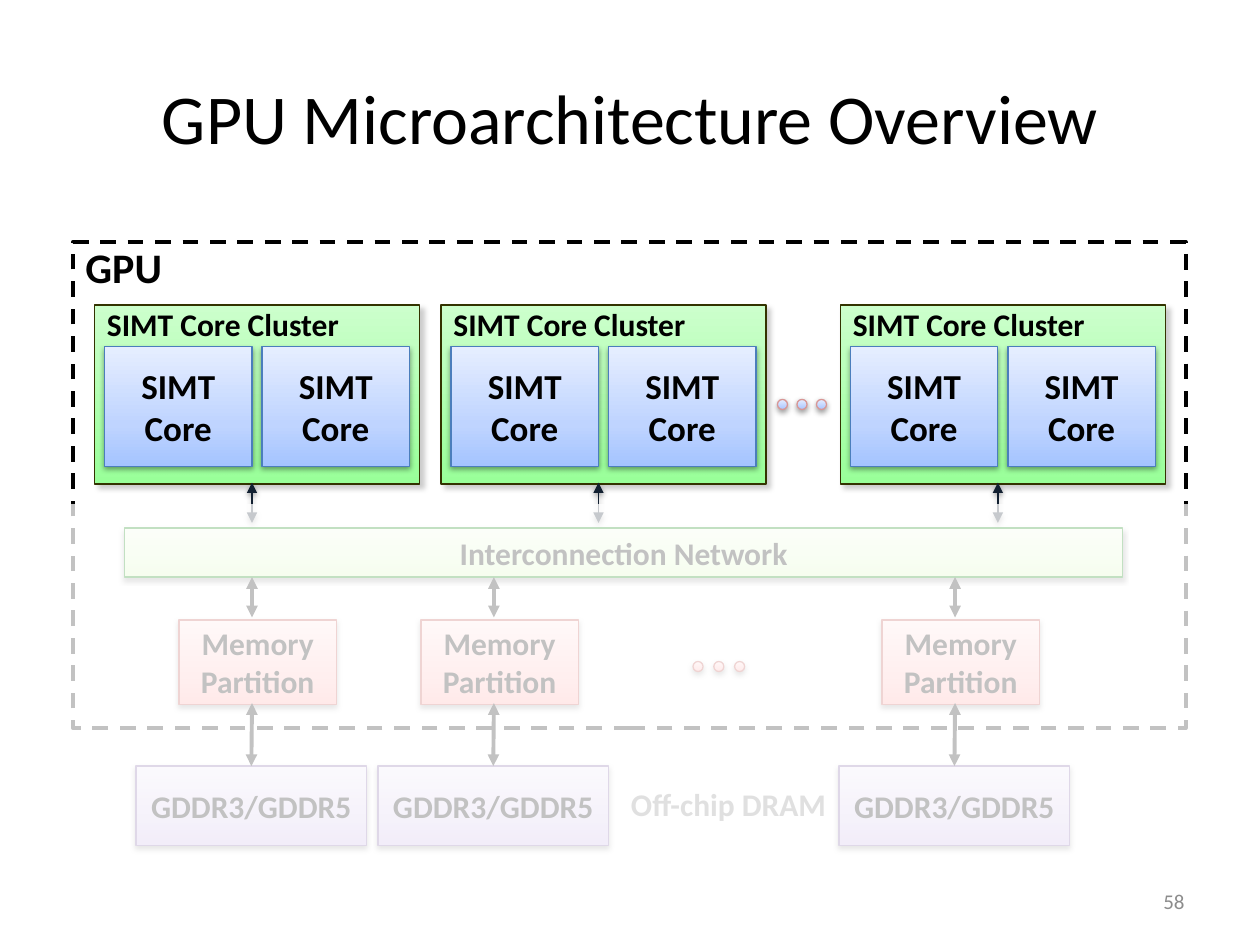
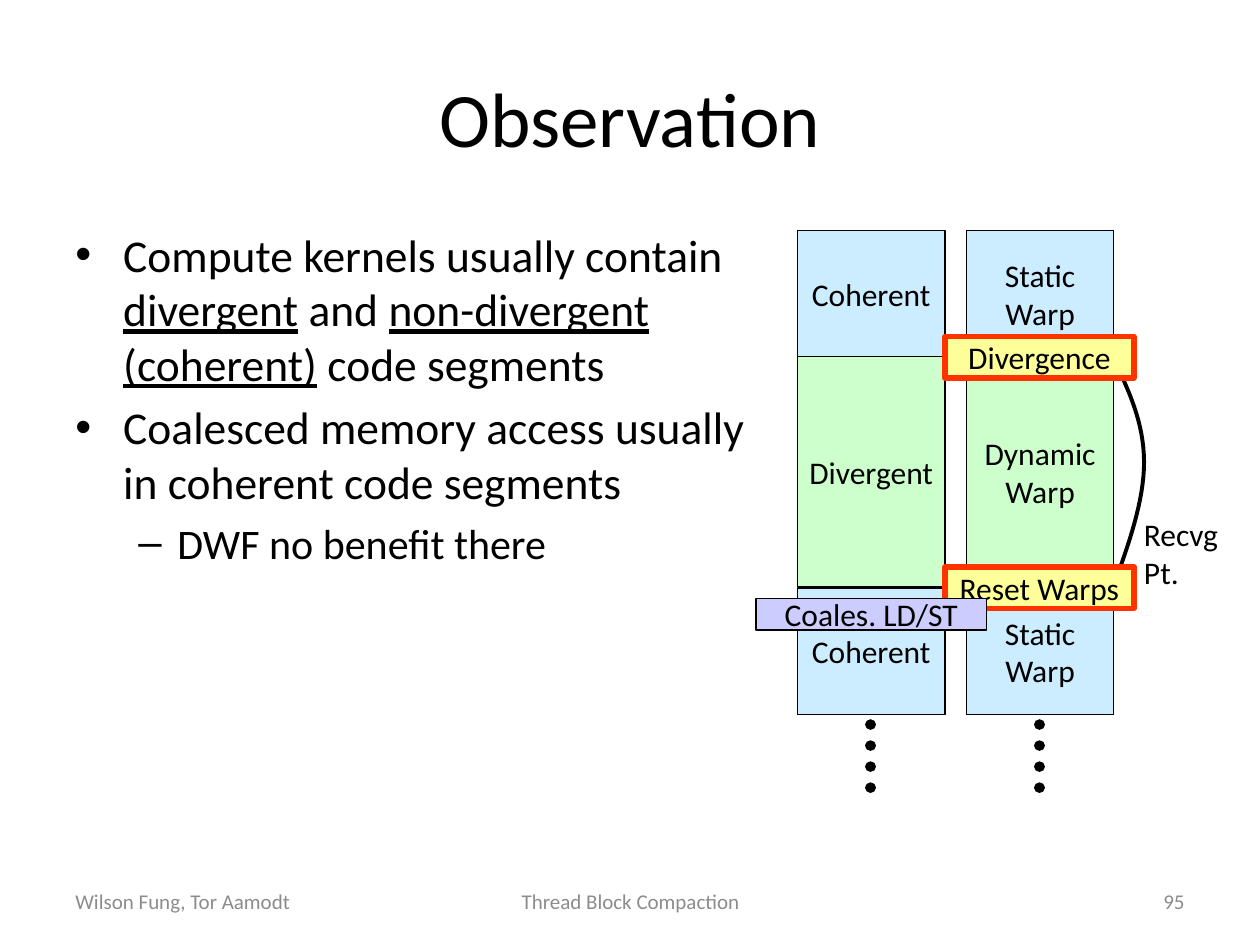
import copy
import pptx
import pptx.dml.color
import pptx.enum.dml
import pptx.enum.shapes
import pptx.enum.text
import pptx.oxml.ns
import pptx.util
from lxml import etree

Inches = pptx.util.Inches
Pt = pptx.util.Pt
RGB = pptx.dml.color.RGBColor
SHAPE = pptx.enum.shapes.MSO_SHAPE
DASH = pptx.enum.dml.MSO_LINE
ALIGN = pptx.enum.text.PP_ALIGN
ANCHOR = pptx.enum.text.MSO_ANCHOR
qn = pptx.oxml.ns.qn

BLACK = RGB(0x00, 0x00, 0x00)
WHITE = RGB(0xFF, 0xFF, 0xFF)
GREY = RGB(0x8C, 0x8C, 0x8C)
MID = RGB(0x80, 0x80, 0x80)
NAVY = RGB(0x12, 0x20, 0x31)
GREEN = RGB(0x00, 0x80, 0x00)
OLIVE = RGB(0x33, 0x33, 0x00)
BLUE = RGB(0x4B, 0x7E, 0xBC)
ROSE = RGB(0xD9, 0x96, 0x94)
RED = RGB(0xBF, 0x4C, 0x48)
PLUM = RGB(0x7D, 0x60, 0xA0)
SKY = RGB(0xCC, 0xEC, 0xFF)
MINT = RGB(0xCC, 0xFF, 0xCC)
LILAC = RGB(0xCC, 0xCC, 0xFF)
YELLOW = RGB(0xFF, 0xFF, 0x99)
FLAME = RGB(0xFF, 0x33, 0x00)

BLUES = [(0, RGB(0xA4, 0xC4, 0xFF)), (0.35, RGB(0xBF, 0xD4, 0xFF)), (1, RGB(0xE6, 0xEE, 0xFF))]
REDS = [(0, RGB(0xFF, 0xA6, 0xA5)), (0.35, RGB(0xFF, 0xC0, 0xBF)), (1, RGB(0xFF, 0xE7, 0xE7))]
PLUMS = [(0, RGB(0xC9, 0xB5, 0xE8)), (0.35, RGB(0xD8, 0xCB, 0xEE)), (1, RGB(0xF0, 0xEA, 0xF9))]
LIMES = [(0, RGB(0xDA, 0xFA, 0xBB)), (0.5, RGB(0xE7, 0xFB, 0xD4)), (1, RGB(0xF3, 0xFD, 0xE9))]
GREENS = [(0, RGB(0x99, 0xFF, 0x99)), (1, MINT)]

SOFT = {"alpha": 38, "blur": 3.15, "dist": 1.57, "dir": 90}
SLANT = {"alpha": 20, "blur": 3, "dist": 3, "dir": 45}
LABEL = {"size": Pt(18), "bold": True}
PLAIN = {"size": Pt(18)}
CORE = {"size": Pt(20), "bold": True}
HEAD = {"margin_top": 0, "vertical_anchor": ANCHOR.TOP}


def apply(target, values):
    for key, value in values.items():
        setattr(target, key, value)


def ink(font, look, color=BLACK):
    apply(font, {"name": "Calibri", **look})
    font.color.rgb = color


def write(shape, text, look, align=ALIGN.CENTER, frame=None, color=BLACK):
    body = shape.text_frame
    body.text = text
    apply(body, {"word_wrap": False, "vertical_anchor": ANCHOR.MIDDLE, **(frame or {})})
    for para in body.paragraphs:
        para.alignment = align
        for run in para.runs:
            ink(run.font, look, color)


def blend(shape, stops):
    shape.fill.gradient()
    shape.fill.gradient_angle = 90
    parts = shape.element.spPr.find(qn("a:gradFill")).find(qn("a:gsLst"))
    while len(parts) < len(stops):
        parts.append(copy.deepcopy(parts[0]))
    for stop, (place, color) in zip(shape.fill.gradient_stops, stops):
        stop.position = place
        stop.color.rgb = color


def shade(effects, cast):
    drop = etree.SubElement(effects, qn("a:outerShdw"), blurRad=str(Pt(cast["blur"])),
                            dist=str(Pt(cast["dist"])), dir=str(cast["dir"] * 60000), rotWithShape="0")
    tint = etree.SubElement(drop, qn("a:srgbClr"), val=str(BLACK))
    etree.SubElement(tint, qn("a:alpha"), val=str(cast["alpha"] * 1000))


def box(tree, place, fill=None, edge=None, width=0.75, cast=None, kind=SHAPE.RECTANGLE):
    shape = tree.add_shape(kind, *map(Inches, place))
    if fill is None:
        shape.fill.background()
    elif isinstance(fill, list):
        blend(shape, fill)
    else:
        shape.fill.solid()
        shape.fill.fore_color.rgb = fill
    if edge is None:
        shape.line.fill.background()
    else:
        shape.line.color.rgb = edge
        shape.line.width = Pt(width)
    shape.shadow.inherit = False
    if cast:
        shade(shape.element.spPr.find(qn("a:effectLst")), cast)
    return shape


def line(tree, x, top, end, color=BLACK, width=2.25, cast=None):
    rule = tree.add_connector(pptx.enum.shapes.MSO_CONNECTOR.STRAIGHT,
                              Inches(x), Inches(top), Inches(x), Inches(end))
    rule.line.color.rgb = color
    rule.line.width = Pt(width)
    effects = etree.SubElement(rule.element.spPr, qn("a:effectLst"))
    if cast:
        shade(effects, cast)
    return rule


def tip(rule, ends=("headEnd", "tailEnd"), kind="triangle"):
    stroke = rule.element.spPr.find(qn("a:ln"))
    for end in ends:
        etree.SubElement(stroke, qn("a:" + end), type=kind)


def arrow(tree, x, top, end, **look):
    rule = line(tree, x, top, end, **look)
    tip(rule)
    return rule


def trail(tree, x):
    rule = line(tree, x, 5.75, 6.33, width=6)
    rule.line.dash_style = DASH.ROUND_DOT
    rule.element.spPr.find(qn("a:ln")).set("cap", "rnd")


def note(tree, place, text, look, align=ALIGN.LEFT, frame=None, color=BLACK):
    area = tree.add_textbox(*map(Inches, place))
    write(area, text, look, align, frame, color)


def foot(tree, left, width, text, align):
    note(tree, (left, 6.95, width, 0.4), text, {"size": Pt(12)}, align, {"word_wrap": True}, GREY)


def start(deck, title, size, number):
    slide = deck.slides.add_slide(deck.slide_layouts[5])
    head = slide.shapes.title
    apply(head, dict(zip(("left", "top", "width", "height"), map(Inches, (0.5, 0.3, 9, 1.25)))))
    write(head, title, {"size": Pt(size)}, frame={"word_wrap": True})
    foot(slide.shapes, 7.17, 2.33, number, ALIGN.RIGHT)
    return slide.shapes


def dots(tree, left, top, step, fill, edge):
    group = tree.add_group_shape().shapes
    for i in range(3):
        box(group, (left + i * step, top, 0.08, 0.08), fill, edge, cast=SOFT, kind=SHAPE.OVAL)


def cluster(tree, left):
    group = tree.add_group_shape().shapes
    frame = box(group, (left, 2.42, 2.58, 1.42), GREENS, OLIVE, 1, SLANT)
    write(frame, "SIMT Core Cluster", LABEL, ALIGN.LEFT, HEAD)
    for i in range(2):
        core = box(group, (left + 0.08 + 1.25 * i, 2.75, 1.17, 0.95), BLUES, BLUE, cast=SOFT)
        write(core, "SIMT\nCore", CORE)
    arrow(group, left + 1.25, 3.83, 4.15, color=NAVY, width=0.75, cast=SOFT)


def bank(tree, mid):
    group = tree.add_group_shape().shapes
    part = box(group, (mid - 0.58, 4.92, 1.25, 0.67), REDS, RED, cast=SOFT)
    write(part, "Memory\nPartition", LABEL)
    dram = box(group, (mid - 0.92, 6.08, 1.83, 0.63), PLUMS, PLUM, cast=SOFT)
    write(dram, "GDDR3/GDDR5", LABEL)
    arrow(group, mid, 5.58, 6.06).end_connect(dram, 0)
    arrow(group, mid, 4.58, 4.9)


def veil(tree):
    sheet = box(tree, (0.5, 4, 9, 2.92), WHITE)
    tint = sheet.element.spPr.find(qn("a:solidFill"))[0]
    etree.SubElement(tint, qn("a:alpha"), val="76000")


def bullets(tree, place, items):
    body = tree.add_textbox(*map(Inches, place)).text_frame
    body.word_wrap = True
    for i, (level, size, mark, parts) in enumerate(items):
        para = body.add_paragraph() if i else body.paragraphs[0]
        para.level = level
        left, hang = ((0.38, 0.38), (0.81, 0.31))[level]
        props = para._p.get_or_add_pPr()
        props.set("marL", str(Inches(left)))
        props.set("indent", str(-Inches(hang)))
        etree.SubElement(props, qn("a:buFont"), typeface="Arial")
        etree.SubElement(props, qn("a:buChar"), char=mark)
        para.space_before = Pt(size * 0.2 if i else 0)
        for k, text in enumerate(parts):
            run = para.add_run()
            run.text = text
            ink(run.font, {"size": Pt(size), "underline": k % 2 == 1})


def stack(tree, left, names):
    spans = ((1.83, 1, SKY), (2.83, 1.83, MINT), (4.67, 1, SKY))
    for name, (top, height, fill) in zip(names, spans):
        write(box(tree, (left, top, 1.17, height), fill, BLACK), name, PLAIN)
    trail(tree, left + 0.58)


def curve(tree, bends, steps=16):
    points = []
    for bend in bends:
        for i in range(steps + 1):
            t = i / steps
            mix = ((1 - t) ** 3, 3 * t * (1 - t) ** 2, 3 * t * t * (1 - t), t ** 3)
            points.append(tuple(Inches(sum(m * p[axis] for m, p in zip(mix, bend))) for axis in (0, 1)))
    pen = tree.build_freeform(*points[0])
    pen.add_line_segments(points[1:], close=False)
    shape = pen.convert_to_shape()
    shape.fill.background()
    shape.line.color.rgb = BLACK
    shape.line.width = Pt(2.25)
    shape.shadow.inherit = False
    tip(shape, ("tailEnd",), "arrow")


def layout(deck):
    tree = start(deck, "GPU Microarchitecture Overview", 40, "58")
    chip = box(tree, (0.58, 1.92, 8.83, 3.86), edge=BLACK, width=2.25)
    chip.line.dash_style = DASH.DASH
    write(chip, "GPU", {"size": Pt(24), "bold": True}, ALIGN.LEFT, HEAD)
    dots(tree, 6.17, 3.17, 0.155, BLUES, ROSE)
    net = box(tree, (0.99, 4.19, 7.92, 0.39), LIMES, GREEN, cast=SOFT)
    write(net, "Interconnection Network", LABEL)
    dots(tree, 5.5, 5.25, 0.165, REDS, RED)
    note(tree, (4.91, 6.18, 1.76, 0.4), "Off-chip DRAM", LABEL, color=MID)
    for mid in (7.58, 3.92, 2):
        bank(tree, mid)
    for left in (0.75, 3.5, 6.67):
        cluster(tree, left)
    veil(tree)


def insight(deck):
    tree = start(deck, "Observation", 44, "95")
    foot(tree, 0.5, 2.33, "Wilson Fung, Tor Aamodt", ALIGN.LEFT)
    foot(tree, 3.42, 3.17, "Thread Block Compaction", ALIGN.CENTER)
    bullets(tree, (0.5, 1.75, 5.83, 4.95), [
        (0, 26, "•", ["Compute kernels usually contain ", "divergent", " and ",
                      "non-divergent (coherent)", " code segments"]),
        (0, 26, "•", ["Coalesced memory access usually in coherent code segments"]),
        (1, 24, "–", ["DWF no benefit there"]),
    ])
    stack(tree, 7.67, ("Static\nWarp", "Dynamic\nWarp", "Static\nWarp"))
    stack(tree, 6.33, ("Coherent", "Divergent", "Coherent"))
    curve(tree, [((8.83, 4.67), (8.96, 4.32), (9.08, 3.97), (9.08, 3.67)),
                 ((9.08, 3.67), (9.08, 3.36), (8.96, 3.1), (8.83, 2.83))])
    for top, name in ((4.5, "Reset Warps"), (2.67, "Divergence")):
        write(box(tree, (7.5, top, 1.5, 0.33), YELLOW, FLAME, 3), name, PLAIN)
    note(tree, (8.98, 4.04, 0.91, 0.7), "Recvg\nPt.", PLAIN, frame={"vertical_anchor": ANCHOR.TOP})
    write(box(tree, (6, 4.75, 1.83, 0.25), LILAC, BLACK), "Coales. LD/ST", PLAIN)


def main():
    deck = pptx.Presentation()
    deck.slide_width = Inches(10)
    deck.slide_height = Inches(7.5)
    layout(deck)
    insight(deck)
    deck.save("out.pptx")


if __name__ == "__main__":
    main()
